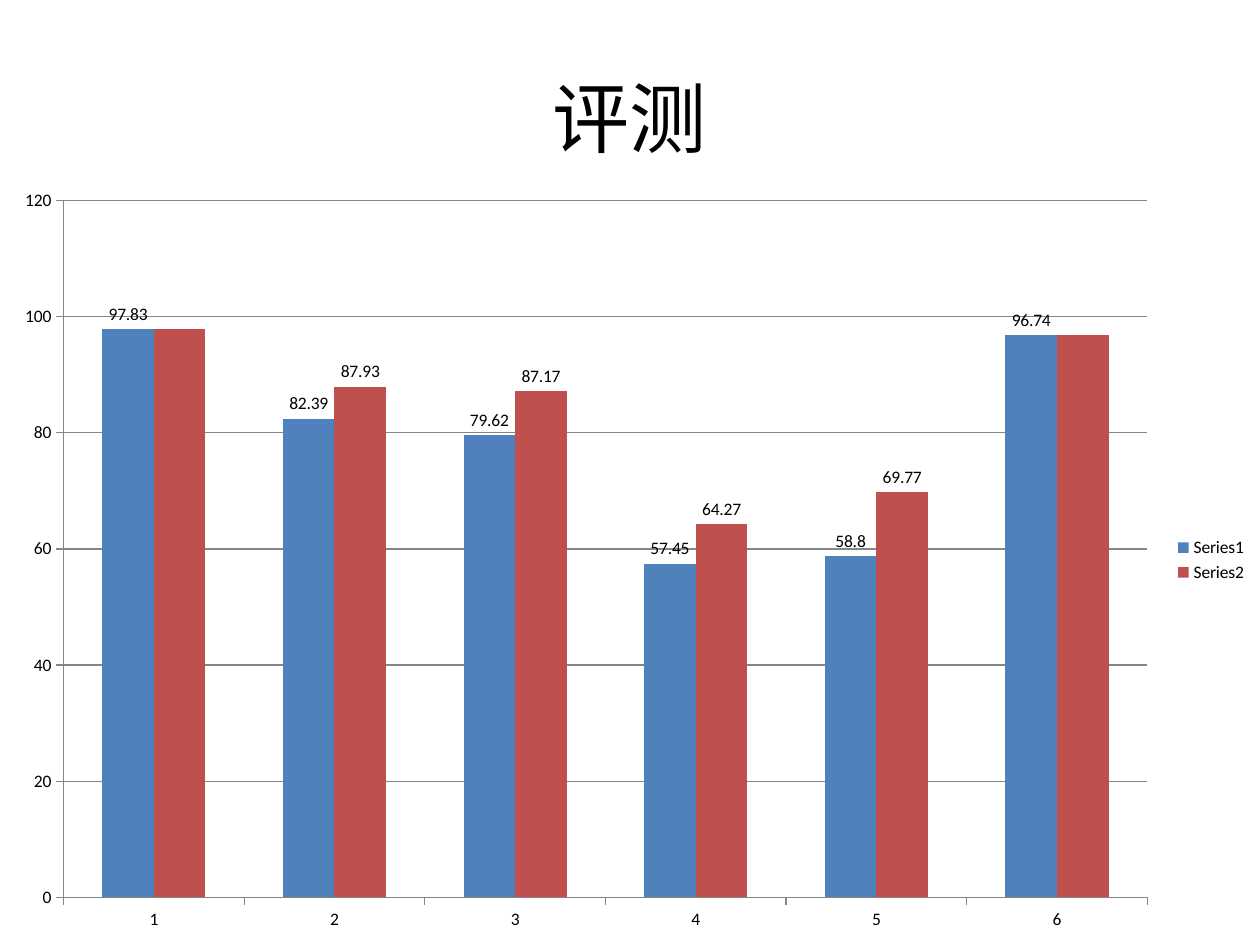
"""Build the evaluation slide with its clustered column chart."""
from lxml.etree import SubElement
from pptx import Presentation
from pptx.chart.data import CategoryChartData
from pptx.dml.color import RGBColor
from pptx.enum.chart import XL_CHART_TYPE, XL_LABEL_POSITION, XL_LEGEND_POSITION, XL_TICK_MARK
from pptx.enum.text import MSO_ANCHOR, PP_ALIGN
from pptx.oxml.ns import qn
from pptx.util import Inches, Pt

HEADING = "评测"
CATEGORIES = ["1", "2", "3", "4", "5", "6"]
SCORES = {
    "Series1": [97.83, 82.39, 79.62, 57.45, 58.8, 96.74],
    "Series2": [97.83, 87.93, 87.17, 64.27, 69.77, 96.74],
}
UNLABELLED = {"Series2": [0, 5]}
THEME = {
    "font": "Calibri",
    "text": RGBColor.from_string("000000"),
    "axis": RGBColor.from_string("868686"),
    "bars": [RGBColor.from_string(code) for code in ("4F81BD", "C0504D")],
    "heading_size": Pt(44),
    "chart_size": Pt(10),
}


def style_font(font, size):
    font.name = THEME["font"]
    font.size = size
    font.color.rgb = THEME["text"]


def add_heading(slide):
    frame = slide.shapes.add_textbox(Inches(0.5), Inches(0.3), Inches(9), Inches(1.25)).text_frame
    frame.word_wrap = True
    frame.vertical_anchor = MSO_ANCHOR.MIDDLE
    paragraph = frame.paragraphs[0]
    paragraph.alignment = PP_ALIGN.CENTER
    run = paragraph.add_run()
    run.text = HEADING
    style_font(run.font, THEME["heading_size"])


def style_line(line):
    line.color.rgb = THEME["axis"]
    line.width = Pt(0.75)


def label_bars(series):
    labels = series.data_labels
    labels.show_value = True
    labels.position = XL_LABEL_POSITION.OUTSIDE_END
    style_font(labels.font, THEME["chart_size"])
    labels_xml = series._element.find(qn("c:dLbls"))
    for order, point in enumerate(UNLABELLED.get(series.name, [])):
        label = SubElement(labels_xml, qn("c:dLbl"))
        SubElement(label, qn("c:idx")).set("val", str(point))
        SubElement(label, qn("c:delete")).set("val", "1")
        labels_xml.insert(order, label)


def add_score_chart(slide):
    scores = CategoryChartData()
    scores.categories = CATEGORIES
    for name, values in SCORES.items():
        scores.add_series(name, values)
    chart = slide.shapes.add_chart(
        XL_CHART_TYPE.COLUMN_CLUSTERED, Inches(0), Inches(1.39), Inches(10), Inches(6.11), scores
    ).chart
    chart.has_title = False
    style_font(chart.font, THEME["chart_size"])
    chart.has_legend = True
    chart.legend.position = XL_LEGEND_POSITION.RIGHT
    chart.legend.include_in_layout = False
    for axis in (chart.category_axis, chart.value_axis):
        axis.major_tick_mark = XL_TICK_MARK.OUTSIDE
        axis.minor_tick_mark = XL_TICK_MARK.NONE
        style_line(axis.format.line)
    chart.value_axis.has_major_gridlines = True
    style_line(chart.value_axis.major_gridlines.format.line)
    plot = chart.plots[0]
    plot.gap_width = 150
    plot.overlap = 0
    plot.vary_by_categories = False
    for series, color in zip(plot.series, THEME["bars"]):
        series.format.fill.solid()
        series.format.fill.fore_color.rgb = color
        label_bars(series)


def main():
    deck = Presentation()
    deck.slide_width, deck.slide_height = Inches(10), Inches(7.5)
    slide = deck.slides.add_slide(deck.slide_layouts[6])
    add_heading(slide)
    add_score_chart(slide)
    deck.save("out.pptx")


if __name__ == "__main__":
    main()
